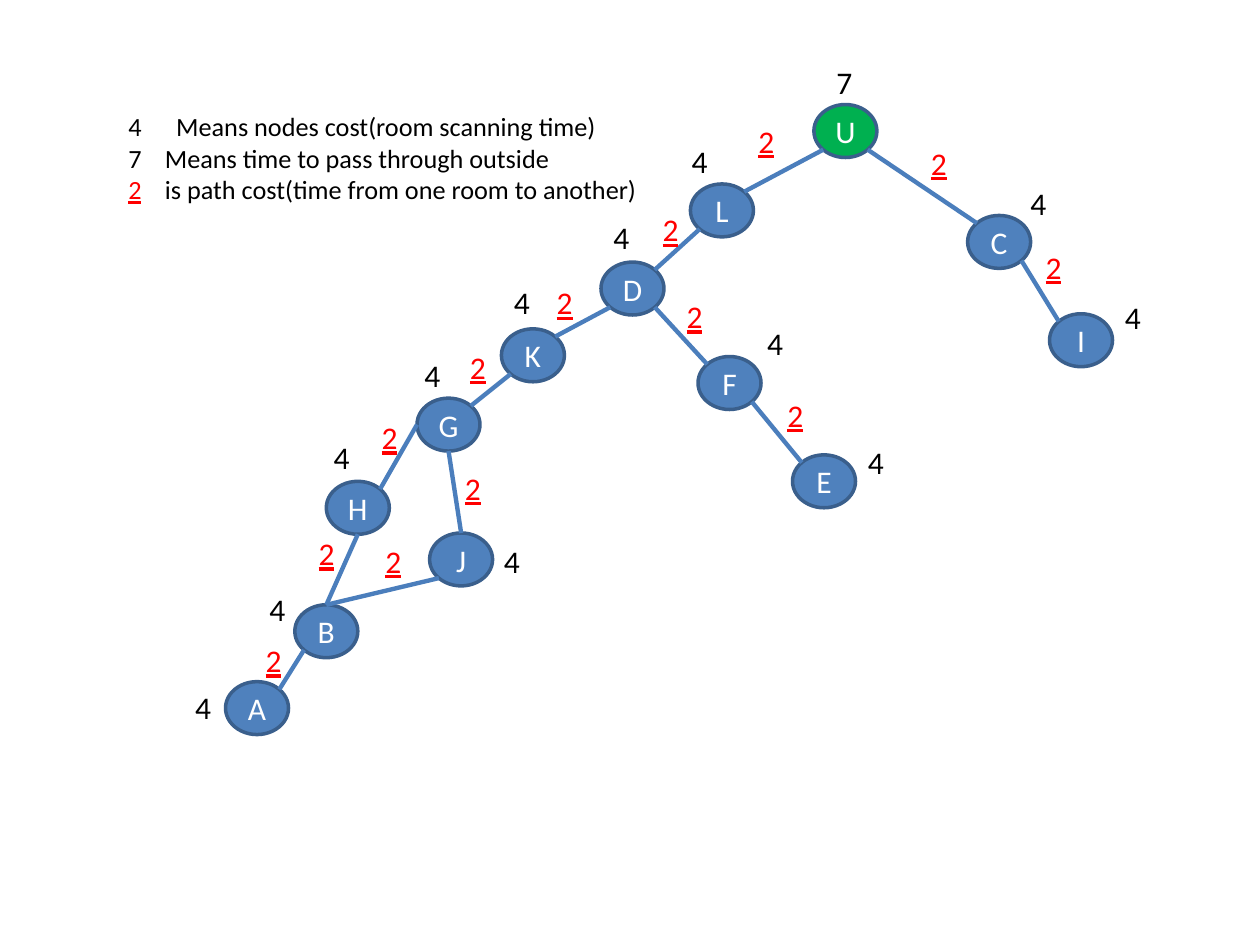
import math

import pptx
import pptx.util
import pptx.dml.color
import pptx.enum.shapes
import pptx.enum.text
import lxml.etree

COLORS = {"node": "4F81BD", "root": "00B050", "outline": "3A5F8C", "edge": "4B7EBC",
          "white": "FFFFFF", "black": "000000", "path": "FF0000"}
FONT = "Calibri"

deck = pptx.Presentation()
deck.slide_width = pptx.util.Inches(10)
deck.slide_height = pptx.util.Inches(7.5)
page = deck.slides.add_slide(deck.slide_layouts[6])

# Grid of 100 columns by 75 rows
COLUMN = deck.slide_width / 100
ROW = deck.slide_height / 75


def place(column, row, *size):
    """Turn grid positions, and optionally a size, into slide lengths."""
    return [round(n * unit) for n, unit in zip((column, row, *size), (COLUMN, ROW) * 2)]


def write(para, text, size=18, color="black", underline=False):
    span = para.add_run()
    span.text = text
    span.font.name = FONT
    span.font.size = pptx.util.Pt(size)
    span.font.underline = underline
    span.font.color.rgb = pptx.dml.color.RGBColor.from_string(COLORS[color])


# Rooms: column and row of the ellipse, then of its scanning cost
NODE_WIDTH, NODE_HEIGHT = 5, 4.2
nodes = {
    "G": (33.1, 31.6, 32.7, 27.8),
    "H": (25.9, 38.2, 25.5, 34.3),
    "J": (34.1, 42.3, 39, 42.5),
    "D": (47.7, 20.8, 47.7, 16.8),
    "B": (23.4, 48, 20.4, 46.3),
    "A": (17.9, 54.1, 14.5, 54.1),
    "F": (55.4, 28.3, 59.9, 25.2),
    "L": (54.8, 14.6, 53.9, 10.8),
    "U": (64.6, 8.3, 65.4, 4.5),
    "C": (76.8, 17.1, 80.8, 14.1),
    "I": (83.3, 24.9, 88.3, 23.2),
    "K": (39.8, 26.1, 39.8, 22),
    "E": (62.9, 36.1, 67.9, 34.7),
}
for name, (column, row, *_) in nodes.items():
    node = page.shapes.add_shape(pptx.enum.shapes.MSO_SHAPE.OVAL,
                                 *place(column, row, NODE_WIDTH, NODE_HEIGHT))
    node.shadow.inherit = False
    node.fill.solid()
    node.fill.fore_color.rgb = pptx.dml.color.RGBColor.from_string(
        COLORS["root" if name == "U" else "node"])
    node.line.color.rgb = pptx.dml.color.RGBColor.from_string(COLORS["outline"])
    node.line.width = pptx.util.Pt(2)
    node.text_frame.vertical_anchor = pptx.enum.text.MSO_ANCHOR.MIDDLE
    para = node.text_frame.paragraphs[0]
    para.alignment = pptx.enum.text.PP_ALIGN.CENTER
    write(para, name, color="white")

# Paths: two rooms, the angle at which each is touched, column and row of the cost
edges = [
    ("G", 180, "H", -45, 29.3, 32.7),
    ("G", 90, "J", -90, 35.9, 36.7),
    ("H", 90, "B", -90, 24.3, 41.9),
    ("J", 135, "B", -90, 29.6, 42.5),
    ("B", 135, "A", -45, 20.1, 50.4),
    ("U", 135, "L", -45, 59.2, 9.2),
    ("U", 45, "C", -135, 72.9, 10.9),
    ("C", 45, "I", -135, 82, 19.2),
    ("L", 135, "D", -45, 51.6, 16.2),
    ("D", 135, "K", -45, 43.2, 22),
    ("K", 135, "G", -45, 36.3, 27.1),
    ("D", 45, "F", -135, 53.5, 23.1),
    ("F", 45, "E", -135, 61.5, 30.9),
]
for start, start_angle, end, end_angle, *_ in edges:
    points = []
    for name, angle in ((start, start_angle), (end, end_angle)):
        column, row = nodes[name][:2]
        turn = math.radians(angle)
        points += place(column + NODE_WIDTH / 2 * (1 + math.cos(turn)),
                        row + NODE_HEIGHT / 2 * (1 + math.sin(turn)))
    edge = page.shapes.add_connector(pptx.enum.shapes.MSO_CONNECTOR.STRAIGHT, *points)
    edge.line.color.rgb = pptx.dml.color.RGBColor.from_string(COLORS["edge"])
    edge.line.width = pptx.util.Pt(2.5)
    lxml.etree.SubElement(edge.element.spPr, pptx.oxml.ns.qn("a:effectLst"))

# Cost labels beside rooms and paths
labels = [("7" if name == "U" else "4", *spot[2:], 3.4, "black") for name, spot in nodes.items()]
labels += [("2", *edge[4:], 3.2, "path") for edge in edges]
for text, column, row, width, color in labels:
    box = page.shapes.add_textbox(*place(column, row, width, 4))
    box.text_frame.word_wrap = True
    write(box.text_frame.paragraphs[0], text, color=color, underline=color == "path")

# Legend: hanging indents set the gap after each key
legend = page.shapes.add_textbox(*place(9.2, 8.3, 42.8, 8.6))
legend.text_frame.word_wrap = False
lines = [
    (3.8, [("Means nodes cost(room scanning time)", "black")]),
    (2.9, [("7\tMeans time to pass through outside", "black")]),
    (2.9, [("2", "path"), ("\tis path cost(time from one room to another)", "black")]),
]
for index, (indent, spans) in enumerate(lines):
    para = legend.text_frame.paragraphs[0] if index == 0 else legend.text_frame.add_paragraph()
    for text, color in spans:
        write(para, text, size=15, color=color, underline=color == "path")
    properties = para._p.get_or_add_pPr()
    properties.set("marL", str(round(indent * COLUMN)))
    properties.set("indent", str(round(-indent * COLUMN)))
    if index == 0:
        lxml.etree.SubElement(properties, pptx.oxml.ns.qn("a:buAutoNum"),
                              type="arabicPlain", startAt="4")

deck.save("out.pptx")
